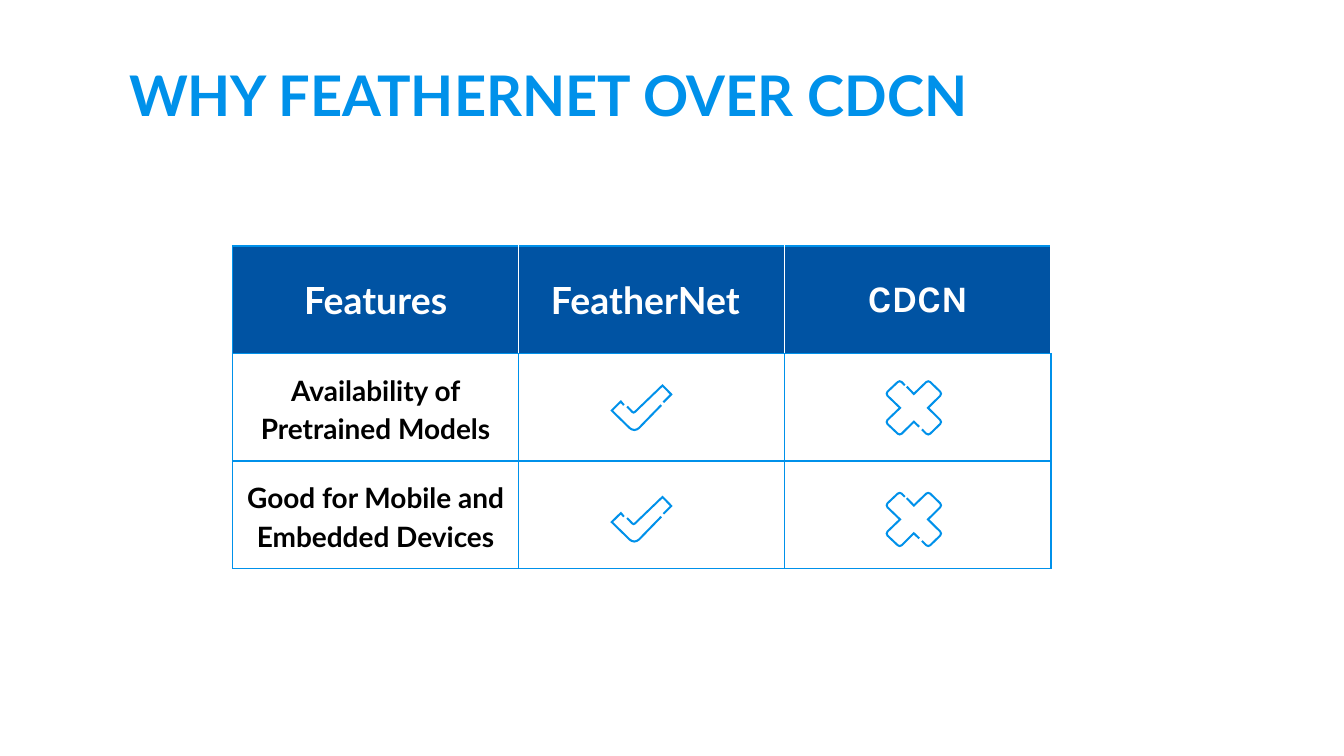
import math
from dataclasses import dataclass

import lxml.etree
import pptx
import pptx.dml.color
import pptx.enum.text
import pptx.oxml.ns
import pptx.util

Inches = pptx.util.Inches
Pt = pptx.util.Pt
ALIGN = pptx.enum.text.PP_ALIGN
ANCHOR = pptx.enum.text.MSO_ANCHOR


@dataclass(frozen=True)
class Theme:
    accent: str = "0091EA"
    header: str = "0053A3"
    white: str = "FFFFFF"
    ink: str = "000000"
    font: str = "Lato"
    alternate_font: str = "Karla"
    title_size: int = 30
    header_size: int = 20
    body_size: int = 15
    border_width: float = 0.75
    stroke: float = 0.015


THEME = Theme()

HEADERS = ["Features", "FeatherNet", "CDCN"]
FEATURES = ["Availability of Pretrained Models", "Good for Mobile and Embedded Devices"]
COLUMN_WIDTHS = [2.13, 1.98, 1.98]
ROW_HEIGHT = 0.8
ICON_ROW_STEP = 0.83

CHECK = [
    [(10.3, 15.5), (8, 12.8), (1.2, 19.5), (14.5, 32.5), (16, 33.5), (18, 34),
     (20, 33.5), (21.5, 32.5), (38, 15.5)],
    [(12.7, 16.5), (16.5, 20.5), (17.5, 21), (18.5, 20.5), (39, 0.8),
     (45.5, 7.5), (39.7, 13.3)],
]
CROSS = [
    [(15.7, 4.7), (21, 10.2), (30.2, 1.3), (31.7, 0.7), (33.2, 1.3), (40.6, 8.5),
     (41.2, 10), (40.6, 11.5), (31.5, 20.5), (40.6, 29.5), (41.2, 31),
     (40.6, 32.5), (33.2, 39.7), (31.7, 40.3), (30.2, 39.7), (27, 36.5)],
    [(14.3, 3.7), (12, 1.3), (10.5, 0.7), (9, 1.3), (1.4, 8.5), (0.8, 10),
     (1.4, 11.5), (10.8, 20.5), (1.4, 29.5), (0.8, 31), (1.4, 32.5),
     (9, 39.7), (10.5, 40.3), (12, 39.7), (21, 30.8), (25, 34.6)],
]


def rgb(value):
    return pptx.dml.color.RGBColor.from_string(value)


def apply(target, formats):
    for name, value in formats.items():
        setattr(target, name, value)


def write(frame, text, size, color, font, alignment, spacing=None):
    paragraph = frame.paragraphs[0]
    apply(paragraph, {"alignment": alignment, "line_spacing": spacing})
    run = paragraph.add_run()
    run.text = text
    apply(run.font, {"size": Pt(size), "name": font, "bold": True})
    run.font.color.rgb = rgb(color)


def add_title(slide, text):
    title = slide.shapes.title
    apply(title, {"left": Inches(0.86), "top": Inches(0.34),
                  "width": Inches(8.28), "height": Inches(1.05)})
    apply(title.text_frame, {
        "auto_size": pptx.enum.text.MSO_AUTO_SIZE.NONE,
        "vertical_anchor": ANCHOR.BOTTOM,
        "word_wrap": True,
        "margin_left": Inches(0.1), "margin_right": Inches(0.1),
        "margin_top": Inches(0.1), "margin_bottom": Inches(0.44),
    })
    write(title.text_frame, text, THEME.title_size, THEME.accent, THEME.font, ALIGN.LEFT)


def set_borders(cell, colors):
    properties = cell._tc.get_or_add_tcPr()
    for index, (side, color) in enumerate(colors.items()):
        line = lxml.etree.Element(pptx.oxml.ns.qn(f"a:ln{side}"),
                                  w=str(Pt(THEME.border_width)))
        fill = lxml.etree.SubElement(line, pptx.oxml.ns.qn("a:solidFill"))
        lxml.etree.SubElement(fill, pptx.oxml.ns.qn("a:srgbClr"), val=color)
        properties.insert(index, line)


def format_cell(cell, fill, borders):
    apply(cell, {"vertical_anchor": ANCHOR.MIDDLE,
                 "margin_left": Inches(0.1), "margin_right": Inches(0.1),
                 "margin_top": Inches(0.1), "margin_bottom": Inches(0.1)})
    if fill:
        cell.fill.solid()
        cell.fill.fore_color.rgb = rgb(fill)
    else:
        cell.fill.background()
    set_borders(cell, borders)


def add_comparison(slide):
    row_count = len(FEATURES) + 1
    comparison = slide.shapes.add_table(
        row_count, len(HEADERS), Inches(1.73), Inches(1.83),
        Inches(sum(COLUMN_WIDTHS)), Inches(ROW_HEIGHT * row_count)).table
    apply(comparison, {"first_row": False, "horz_banding": False})
    for column, width in zip(comparison.columns, COLUMN_WIDTHS):
        column.width = Inches(width)
    for row in comparison.rows:
        row.height = Inches(ROW_HEIGHT)

    body_borders = dict.fromkeys("LRTB", THEME.accent)
    for index, label in enumerate(HEADERS):
        header = comparison.cell(0, index)
        borders = {**body_borders, "R": THEME.white}
        if index:
            borders["L"] = THEME.white
        format_cell(header, THEME.header, borders)
        font = THEME.alternate_font if label == "CDCN" else THEME.font
        alignment = ALIGN.CENTER
        if label == "FeatherNet":
            alignment = ALIGN.LEFT
            header.margin_left = Inches(0.24)
        write(header.text_frame, label, THEME.header_size, THEME.white, font, alignment)

    for row, feature in enumerate(FEATURES, 1):
        for column in range(len(HEADERS)):
            format_cell(comparison.cell(row, column), None, body_borders)
        write(comparison.cell(row, 0).text_frame, feature, THEME.body_size,
              THEME.ink, THEME.font, ALIGN.CENTER, 1.15)


def offset_side(points, distance):
    normals = []
    for (x1, y1), (x2, y2) in zip(points, points[1:]):
        length = math.hypot(x2 - x1, y2 - y1)
        normals.append(((y1 - y2) / length, (x2 - x1) / length))
    before = normals[:1] + normals
    after = normals + normals[-1:]
    side = []
    for (x, y), (ax, ay), (bx, by) in zip(points, before, after):
        reach = distance / (1 + ax * bx + ay * by)
        side.append((x + (ax + bx) * reach, y + (ay + by) * reach))
    return side


def add_icon(slide, strokes, left, top):
    icon = slide.shapes.add_group_shape()
    for stroke in strokes:
        center = [(left + x / 100, top + y / 100) for x, y in stroke]
        half = THEME.stroke / 2
        outline = offset_side(center, half) + offset_side(center, -half)[::-1]
        start, *rest = [(Inches(x), Inches(y)) for x, y in outline]
        builder = icon.shapes.build_freeform(*start)
        builder.add_line_segments(rest, close=True)
        ribbon = builder.convert_to_shape()
        ribbon.shadow.inherit = False
        ribbon.fill.solid()
        ribbon.fill.fore_color.rgb = rgb(THEME.accent)
        ribbon.line.fill.background()


def main():
    deck = pptx.Presentation()
    apply(deck, {"slide_width": Inches(10), "slide_height": Inches(10 * 9 / 16)})
    slide = deck.slides.add_slide(deck.slide_layouts[5])
    add_title(slide, "WHY FEATHERNET OVER CDCN")
    add_comparison(slide)
    for row in range(len(FEATURES)):
        drop = row * ICON_ROW_STEP
        add_icon(slide, CHECK, 4.54, 2.86 + drop)
        add_icon(slide, CROSS, 6.59, 2.83 + drop)
    deck.save("out.pptx")


if __name__ == "__main__":
    main()
